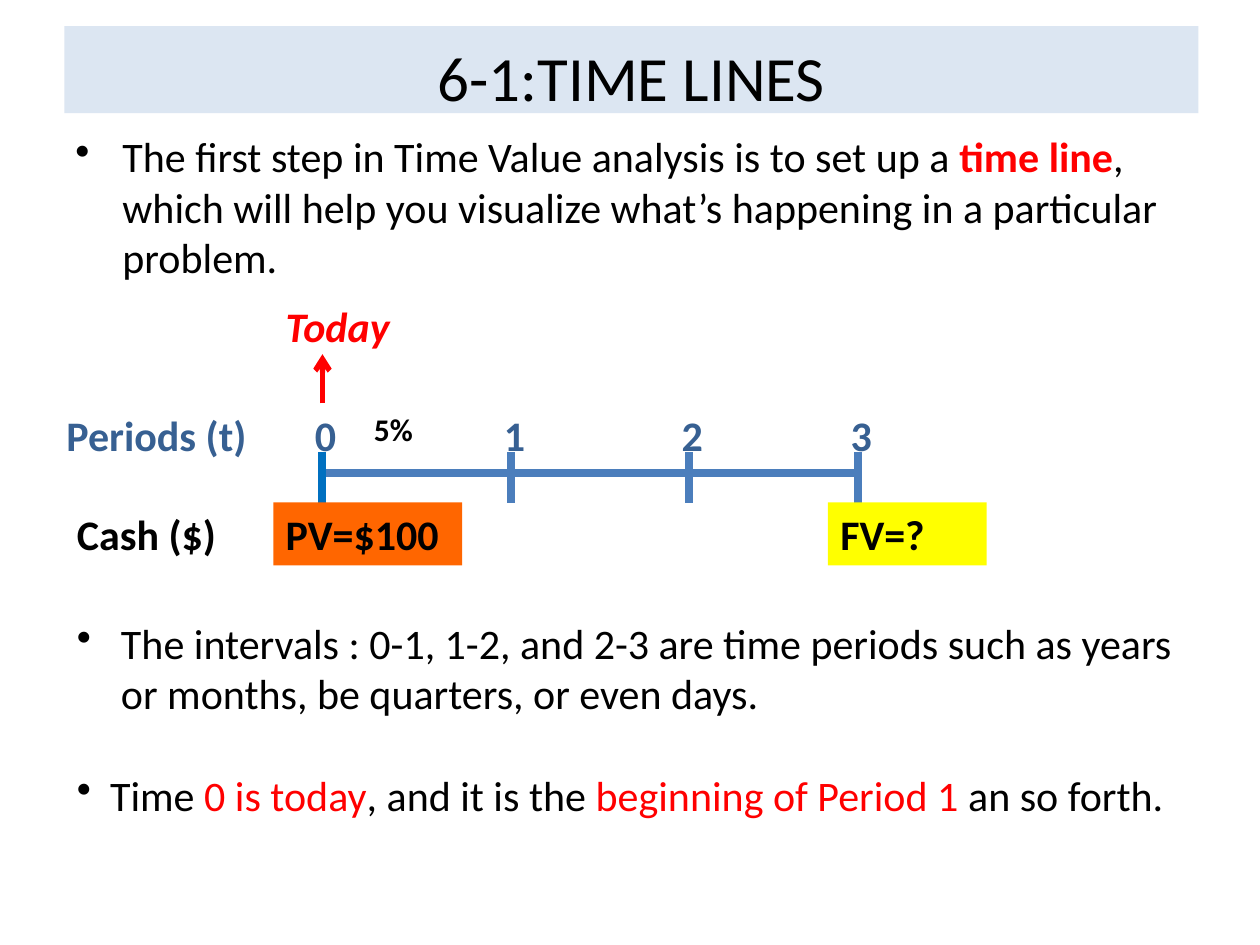
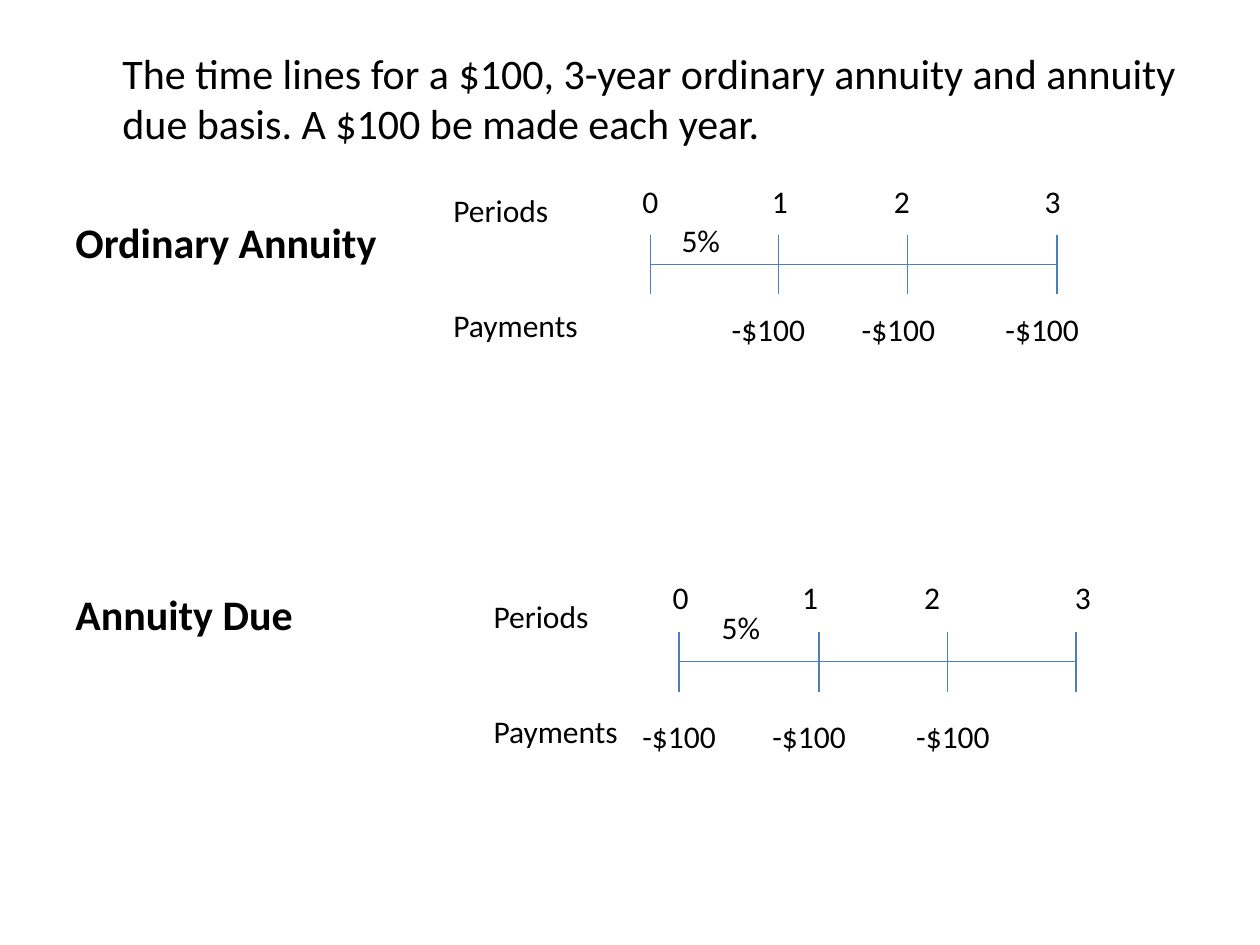
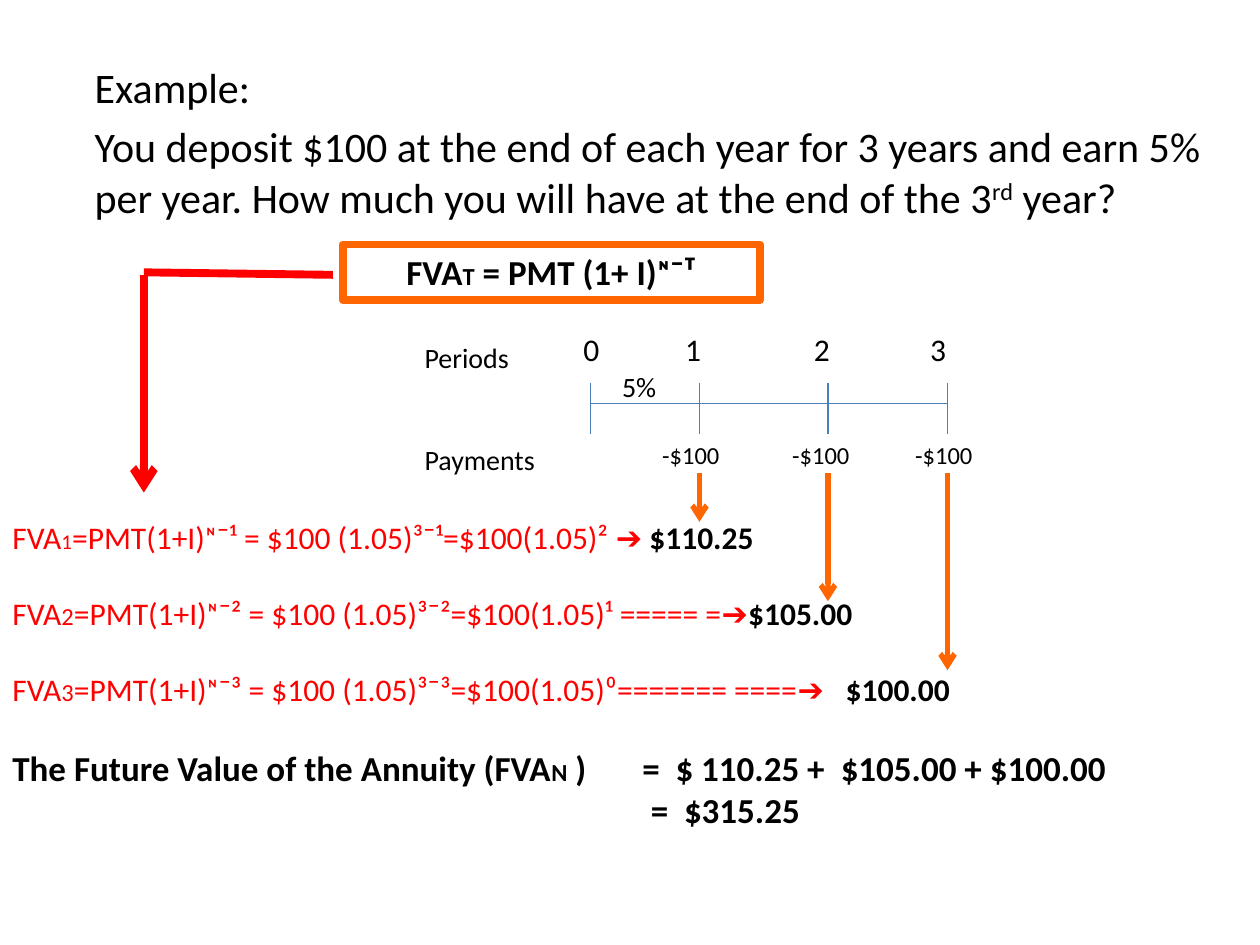
from dataclasses import dataclass

from lxml.etree import SubElement
from pptx import Presentation
from pptx.dml.color import RGBColor
from pptx.enum.shapes import MSO_CONNECTOR, MSO_SHAPE
from pptx.enum.text import MSO_ANCHOR, PP_ALIGN
from pptx.oxml.ns import qn
from pptx.util import Cm, Pt

FONT = "Calibri"
BLACK, RED, ORANGE, YELLOW = "000000", "FF0000", "FF6600", "FFFF00"
BLUE, DEEP_BLUE, NAVY, PALE_BLUE = "4B7EBC", "0070C0", "376092", "DCE6F2"


def rgb(code):
    return RGBColor.from_string(code)


@dataclass
class Run:
    text: str
    size: float = 24
    color: str = BLACK
    bold: bool = False
    italic: bool = False
    raised: int = 0


@dataclass
class Para:
    runs: list
    before: float = 0
    indent: float = 0
    bullet: bool = False
    tabs: tuple = ()
    align: PP_ALIGN = PP_ALIGN.LEFT


class Deck:
    """Holds the presentation, its style and the current slide."""

    def __init__(self):
        self.prs = Presentation()
        self.prs.slide_width, self.prs.slide_height = Cm(25.4), Cm(19.05)
        self.slide = None

    def new_slide(self):
        self.slide = self.prs.slides.add_slide(self.prs.slide_layouts[6])

    def fill_text(self, frame, paras, inset=0.13):
        frame.word_wrap = True
        frame.vertical_anchor = MSO_ANCHOR.TOP
        frame.margin_top = Cm(inset)
        for number, para in enumerate(paras):
            line = frame.paragraphs[0] if number == 0 else frame.add_paragraph()
            props = line._p.get_or_add_pPr()
            if para.indent:
                props.set("marL", str(Cm(para.indent)))
            if para.bullet:
                props.set("indent", str(-Cm(para.indent)))
                SubElement(props, qn("a:buChar"), char="•")
            if para.tabs:
                stops = SubElement(props, qn("a:tabLst"))
                for stop in para.tabs:
                    SubElement(stops, qn("a:tab"), pos=str(Cm(stop)), algn="l")
            line.alignment = para.align
            if para.before:
                line.space_before = Pt(para.before)
            for part in para.runs:
                run = line.add_run()
                run.text = part.text
                font = run.font
                font.name, font.size = FONT, Pt(part.size)
                font.bold, font.italic = part.bold, part.italic
                font.color.rgb = rgb(part.color)
                if part.raised:
                    run._r.get_or_add_rPr().set("baseline", str(part.raised * 1000))

    def text(self, left, top, width, height, *paras, inset=0.13):
        area = self.slide.shapes.add_textbox(Cm(left), Cm(top), Cm(width), Cm(height))
        self.fill_text(area.text_frame, paras, inset)

    def label(self, left, top, width, height, words, size=18, tabs=(), **style):
        self.text(left, top, width, height, Para([Run(words, size, **style)], tabs=tabs))

    def box(self, left, top, width, height, para, fill=None, border=None, inset=0.13):
        shape = self.slide.shapes.add_shape(
            MSO_SHAPE.RECTANGLE, Cm(left), Cm(top), Cm(width), Cm(height))
        shape.shadow.inherit = False
        if fill:
            shape.fill.solid()
            shape.fill.fore_color.rgb = rgb(fill)
        else:
            shape.fill.background()
        if border:
            shape.line.color.rgb, shape.line.width = rgb(border), Pt(4.5)
        else:
            shape.line.fill.background()
        self.fill_text(shape.text_frame, [para], inset)

    def line(self, x1, y1, x2, y2, color=BLUE, weight=0.75, arrow=False):
        stroke = self.slide.shapes.add_connector(
            MSO_CONNECTOR.STRAIGHT, Cm(x1), Cm(y1), Cm(x2), Cm(y2))
        stroke.line.color.rgb, stroke.line.width = rgb(color), Pt(weight)
        if arrow:
            SubElement(stroke.line._get_or_add_ln(), qn("a:tailEnd"), type="arrow")
        SubElement(stroke._element.spPr, qn("a:effectLst"))

    def time_line(self, ticks, y, top, bottom, weight=0.75, first=BLUE):
        self.line(ticks[0], y, ticks[-1], y, weight=weight)
        for tick in ticks:
            color = first if tick == ticks[0] else BLUE
            self.line(tick, top, tick, bottom, color, weight)

    def row_names(self, left, top, width, height, size, gap):
        self.text(left, top, width, height, Para([Run("Periods", size)]),
                  Para([Run("Payments", size)], before=gap))


def time_lines(deck):
    deck.new_slide()
    deck.box(1.3, 0.53, 22.86, 1.75,
             Para([Run("6-1:TIME LINES", 36)], align=PP_ALIGN.CENTER),
             fill=PALE_BLUE, inset=0.24)
    deck.text(1.27, 2.51, 22.43, 10.2, Para([
        Run("The first step in Time Value analysis is to set up a "),
        Run("time line", color=RED, bold=True),
        Run(", which will help you visualize what’s happening in a particular problem."),
    ], indent=0.95, bullet=True))

    # Time line with its period numbers
    ticks = [6.5, 10.31, 13.89, 17.3]
    deck.time_line(ticks, 9.53, 9.12, 10.13, weight=4.5, first=DEEP_BLUE)
    for period, tick in enumerate(ticks):
        deck.label(tick - 0.4, 8.13, 1.2, 1.27, str(period), 24, color=NAVY, bold=True)
    deck.label(1.09, 8.13, 4.6, 1.27, "Periods (t)", 24, color=NAVY, bold=True)
    deck.label(7.29, 8.13, 2.59, 1.02, "5%", bold=True)
    deck.label(5.51, 5.92, 3.4, 1.27, "Today", 24, color=RED, bold=True, italic=True)
    deck.line(ticks[0], 8.13, ticks[0], 7.14, RED, 3, arrow=True)

    # Cash row
    deck.label(1.3, 10.13, 3.4, 1.27, "Cash ($)", 24, bold=True)
    for left, width, value, fill in [(5.51, 3.81, "PV=$100", ORANGE),
                                     (16.69, 3.2, "FV=?", YELLOW)]:
        deck.box(left, 10.13, width, 1.27, Para([Run(value, bold=True)]), fill=fill)

    # Remarks
    deck.text(
        1.3, 12.32, 23.01, 6.15,
        Para([Run("The intervals : 0-1, 1-2, and 2-3 are time periods such as years "
                  "or months, be quarters, or even days.")], indent=0.89, bullet=True),
        Para([Run("Time "), Run("0 is today", color=RED), Run(", and it is the "),
              Run("beginning of Period 1 ", color=RED), Run("an so forth.")],
             before=29, indent=0.67, bullet=True))


def annuity_types(deck):
    deck.new_slide()
    deck.text(
        1.27, 0.53, 22.86, 16.48,
        Para([Run("The time lines for a $100, 3-year ordinary annuity and annuity due "
                  "basis. A $100 be made each year.")], indent=0.95),
        Para([Run("Ordinary Annuity", bold=True)], before=39),
        Para([Run("Annuity Due", bold=True)], before=184),
        inset=0.42)

    # Ticks, axis height, then the corners of names, numbers, payments and rate
    ordinary = ([13.11, 15.7, 18.29, 21.31], 5.33,
                (8.89, 3.73), (12.7, 3.53), (14.5, 6.12), (13.49, 4.32))
    due = ([13.69, 16.51, 19.1, 21.69], 13.34,
           (9.7, 11.91), (13.31, 11.53), (12.7, 14.33), (14.3, 12.12))
    for ticks, axis, names, numbers, payments, rate in (ordinary, due):
        deck.time_line(ticks, axis, axis - 0.6, axis + 0.6)
        deck.row_names(*names, 3.4, 3.33, 18, 44)
        deck.label(*numbers, 9.4, 1.02, "0\t1\t2\t3", tabs=(2.61, 5.07, 8.11))
        deck.label(*payments, 7.6, 1.02, "-$100\t-$100\t-$100", tabs=(2.62, 5.52))
        deck.label(*rate, 1.8, 1.02, "5%")


def future_value(deck):
    deck.new_slide()
    deck.text(
        0.71, 1.12, 24, 16.99,
        Para([Run("Example:")], indent=0.95),
        Para([Run("You deposit $100 at the end of each year for 3 years and earn 5% per "
                  "year. How much you will have at the end of the 3"),
              Run("rd", raised=30), Run(" year?")], before=4.8, indent=0.95))

    # Time line
    ticks = [11.91, 14.1, 16.69, 19.1]
    deck.time_line(ticks, 8.13, 7.72, 8.74)
    deck.label(11.51, 6.53, 9.4, 1.02, "0\t1\t2\t3", tabs=(2.05, 4.65, 6.99))
    deck.label(12.29, 7.32, 1.4, 0.94, "5%", 16)
    deck.label(13.1, 8.74, 7.6, 0.86, "-$100\t-$100\t-$100", 14, tabs=(2.62, 5.1))
    deck.row_names(8.31, 6.73, 3, 3, 16, 39)

    # Value of each payment, then their sum
    steps = [
        ("1", 12, "=PMT(1+I)ᶰ¯¹ = $100 (1.05)³¯¹=$100(1.05)² ➔ ", "$110.25"),
        ("2", 14, "=PMT(1+I)ᶰ¯² = $100 (1.05)³¯²=$100(1.05)¹ ===== =➔", "$105.00"),
        ("3", 14, "=PMT(1+I)ᶰ¯³ = $100 (1.05)³¯³=$100(1.05)⁰======= ====➔\t", "$100.00"),
    ]
    values = [
        Para([Run("FVA", 18, RED), Run(index, size, RED), Run(formula, 18, RED),
              Run(amount, 18, bold=True)], before=22 if number else 0, tabs=(16.8,))
        for number, (index, size, formula, amount) in enumerate(steps)]
    deck.text(
        0, 10.31, 23.7, 8.6, *values,
        Para([Run("The Future Value of the Annuity (FVA", 20, bold=True),
              Run("N", 14, bold=True),
              Run(" )\t=\t$ 110.25 +\t$105.00 + $100.00", 20, bold=True)],
             before=22, tabs=(12.7, 13.37, 16.7)),
        Para([Run("\t=\t$315.25", 20, bold=True)], tabs=(12.87, 13.54)))

    # General formula and the arrows to the values
    deck.box(6.91, 4.93, 8.41, 1.12, Para([
        Run("FVA", 20, bold=True), Run("T", 14, bold=True),
        Run(" = PMT (1+ I)ᶰ¯ᵀ", 20, bold=True)], align=PP_ALIGN.CENTER), border=ORANGE)
    deck.line(6.71, 5.54, 2.9, 5.49, RED, 4.5)
    deck.line(2.9, 5.54, 2.9, 9.93, RED, 4.5, arrow=True)
    for tick, end in zip(ticks[1:], (10.52, 12.12, 13.51)):
        deck.line(tick, 9.53, tick, end, ORANGE, 3, arrow=True)


def main():
    deck = Deck()
    time_lines(deck)
    annuity_types(deck)
    future_value(deck)
    deck.prs.save("out.pptx")


if __name__ == "__main__":
    main()
